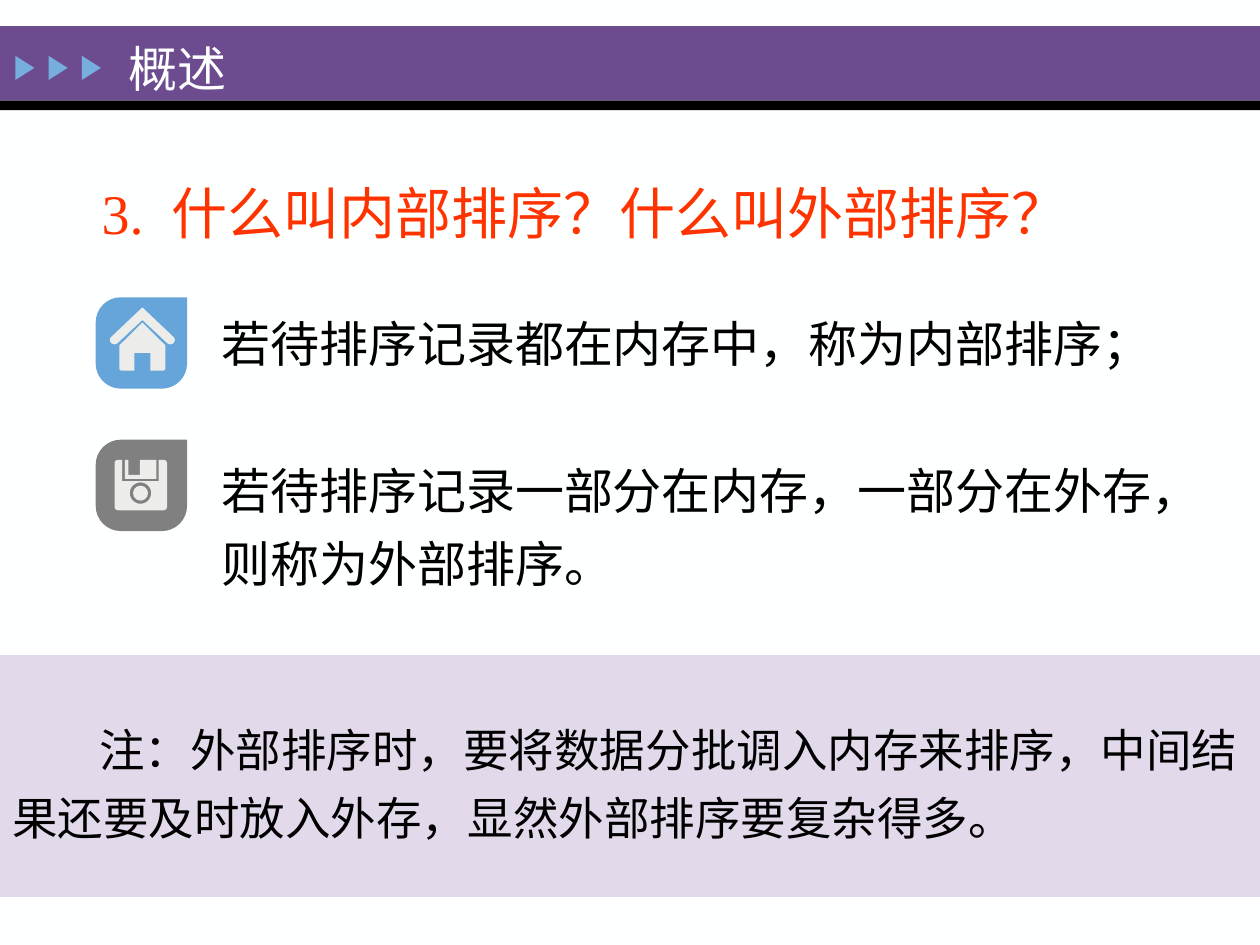
from dataclasses import dataclass
from math import cos, pi, sin

from pptx import Presentation
from pptx.dml.color import RGBColor
from pptx.enum.shapes import MSO_SHAPE
from pptx.enum.text import MSO_ANCHOR
from pptx.util import Pt

RECT, TRIANGLE, OVAL = MSO_SHAPE.RECTANGLE, MSO_SHAPE.ISOSCELES_TRIANGLE, MSO_SHAPE.OVAL
TOP, MIDDLE = MSO_ANCHOR.TOP, MSO_ANCHOR.MIDDLE


@dataclass(frozen=True)
class Theme:
    font: str = "Times New Roman"
    paper: str = "FEFFFF"
    banner: str = "6C4C8F"
    ink: str = "000000"
    arrow: str = "76AEDD"
    question: str = "FF3300"
    note: str = "E2D9EB"
    memory: str = "65A5D9"
    disk: str = "808080"
    symbol: str = "ECECEB"
    question_size: int = 32
    body_size: int = 28
    note_size: int = 26


def rounded(corners):
    """Turn (x, y[, radius]) corners into outline points with curved corners."""
    points = []
    for i, (x, y, *radius) in enumerate(corners):
        if not radius:
            points.append((x, y))
            continue
        ends = []
        for nx, ny, *_ in (corners[i - 1], corners[(i + 1) % len(corners)]):
            share = radius[0] / ((nx - x) ** 2 + (ny - y) ** 2) ** 0.5
            ends.append(((nx - x) * share, (ny - y) * share))
        (ax, ay), (bx, by) = ends
        for step in range(9):
            angle = step / 8 * pi / 2
            a, b = 1 - sin(angle), 1 - cos(angle)
            points.append((x + ax * a + bx * b, y + ay * a + by * b))
    return points


def mirrored(half, middle):
    """Close a right-hand half outline with its reflection about x = middle."""
    return rounded(half + [(2 * middle - x, *rest) for x, *rest in half[::-1] if x != middle])


def circle(x, y, radius):
    return [(x + radius * cos(k * pi / 18), y + radius * sin(k * pi / 18)) for k in range(36)]


class SlideBuilder:
    def __init__(self, slide, theme):
        self.slide, self.theme = slide, theme
        slide.background.fill.solid()
        slide.background.fill.fore_color.rgb = RGBColor.from_string(theme.paper)

    def paint(self, shape, color):
        shape.shadow.inherit = False
        shape.fill.solid()
        shape.fill.fore_color.rgb = RGBColor.from_string(color)
        shape.line.fill.background()
        return shape

    def shape(self, kind, box, color, rotation=0):
        shape = self.slide.shapes.add_shape(kind, *map(Pt, box))
        shape.rotation = rotation
        return self.paint(shape, color)

    def outline(self, color, *contours):
        first, *others = [[(Pt(x), Pt(y)) for x, y in contour] for contour in contours]
        builder = self.slide.shapes.build_freeform(*first[0])
        builder.add_line_segments(first[1:])
        for contour in others:
            builder.move_to(*contour[0])
            builder.add_line_segments(contour[1:])
        return self.paint(builder.convert_to_shape(), color)

    def text_box(self, box, paragraphs, size, color, **options):
        holder = self.slide.shapes.add_textbox(*map(Pt, box))
        self.set_text(holder, paragraphs, size, color, **options)

    def set_text(self, holder, paragraphs, size, color, anchor=TOP, spacing=1.0, gap=0, indent=0):
        frame = holder.text_frame
        frame.word_wrap, frame.vertical_anchor = True, anchor
        style = {"name": self.theme.font, "size": Pt(size)}
        for i, runs in enumerate(paragraphs):
            paragraph = frame.add_paragraph() if i else frame.paragraphs[0]
            layout = {"line_spacing": spacing, "space_before": Pt(gap if i else 0)}
            for key, value in layout.items():
                setattr(paragraph, key, value)
            properties = paragraph._p.get_or_add_pPr()
            properties.set("algn", "l")
            properties.set("indent", str(Pt(indent)))
            for text, tracking in runs:
                run = paragraph.add_run()
                run.text = text
                for key, value in style.items():
                    setattr(run.font, key, value)
                run.font.color.rgb = RGBColor.from_string(color)
                if tracking:
                    run._r.get_or_add_rPr().set("spc", str(tracking * 100))

    def plate(self, top, color):
        left, size, radius = 54.7, 52.2, 14.4
        right, bottom = left + size, top + size
        self.outline(color, rounded([(left, top, radius), (right, top),
                                     (right, bottom, radius), (left, bottom, radius)]))

    def house(self):
        middle = 81.4
        roof_right = [(101, 194.3, 2.5), (97.4, 197.8, 2.5)]
        roof_left = [(2 * middle - x, *rest) for x, *rest in roof_right[::-1]]
        self.outline(self.theme.symbol, rounded(
            [(middle, 175.7), *roof_right, (middle, 182.9), *roof_left]))
        self.outline(self.theme.symbol, mirrored(
            [(middle, 184.3), (94.5, 197.3), (94.5, 211.7, 1), (86, 211.7), (86, 201.6)],
            middle))

    def floppy(self):
        top, x, y = 262.8, 80.3, 281.8
        self.outline(self.theme.symbol, [
            (89.3, top), (79.9, top), (79.9, 271.4), (73.4, 271.4),
            (73.4, top), (71.3, top), (71.3, 273.6), (89.3, 273.6)])
        body = rounded([(95.5, top, 2), (95.5, 291.6, 2), (65.5, 291.6, 2), (65.5, top, 2),
                        (69.8, top), (69.8, 275), (90.7, 275), (90.7, top)])
        self.outline(self.theme.symbol, body, circle(x, y, 6.1))
        hub = 4.3
        self.shape(OVAL, (x - hub, y - hub, 2 * hub, 2 * hub), self.theme.symbol)


def main():
    deck = Presentation()
    deck.slide_width, deck.slide_height = Pt(720), Pt(540)
    theme = Theme()
    page = SlideBuilder(deck.slides.add_slide(deck.slide_layouts[6]), theme)

    # Banner with three arrows and the section title
    page.shape(RECT, (0, 15, 720, 42.5), theme.banner)
    page.shape(RECT, (0, 57.5, 720, 5.5), theme.ink)
    for i in range(3):
        page.shape(TRIANGLE, (7.4 + 19 * i, 33.4, 13.7, 10.8), theme.arrow, rotation=90)
    page.text_box((66.2, 18.7, 504, 36), [[("概述", 0)]], theme.body_size, theme.paper)

    # Question, with a wider gap after its number
    page.text_box((51, 95, 612, 52),
                  [[("3.", 0), (" ", 8), ("什么叫内部排序？什么叫外部排序？", 0)]],
                  theme.question_size, theme.question, anchor=MIDDLE)

    # Definitions
    definitions = ["若待排序记录都在内存中，称为内部排序；",
                   "若待排序记录一部分在内存，一部分在外存，则称为外部排序。"]
    page.text_box((119.5, 167, 565.2, 177), [[(line, 0)] for line in definitions],
                  theme.body_size, theme.ink, spacing=1.25, gap=42)

    # Note band
    band = page.shape(RECT, (0, 374.4, 720, 138.2), theme.note)
    note = "注：外部排序时，要将数据分批调入内存来排序，中间结果还要及时放入外存，显然外部排序要复杂得多。"
    page.set_text(band, [[(note, 0)]], theme.note_size, theme.ink,
                  anchor=MIDDLE, spacing=1.25, indent=49.7)

    # Icons for memory and disk
    page.plate(169.9, theme.memory)
    page.house()
    page.plate(251.3, theme.disk)
    page.floppy()

    deck.save("out.pptx")


if __name__ == "__main__":
    main()
